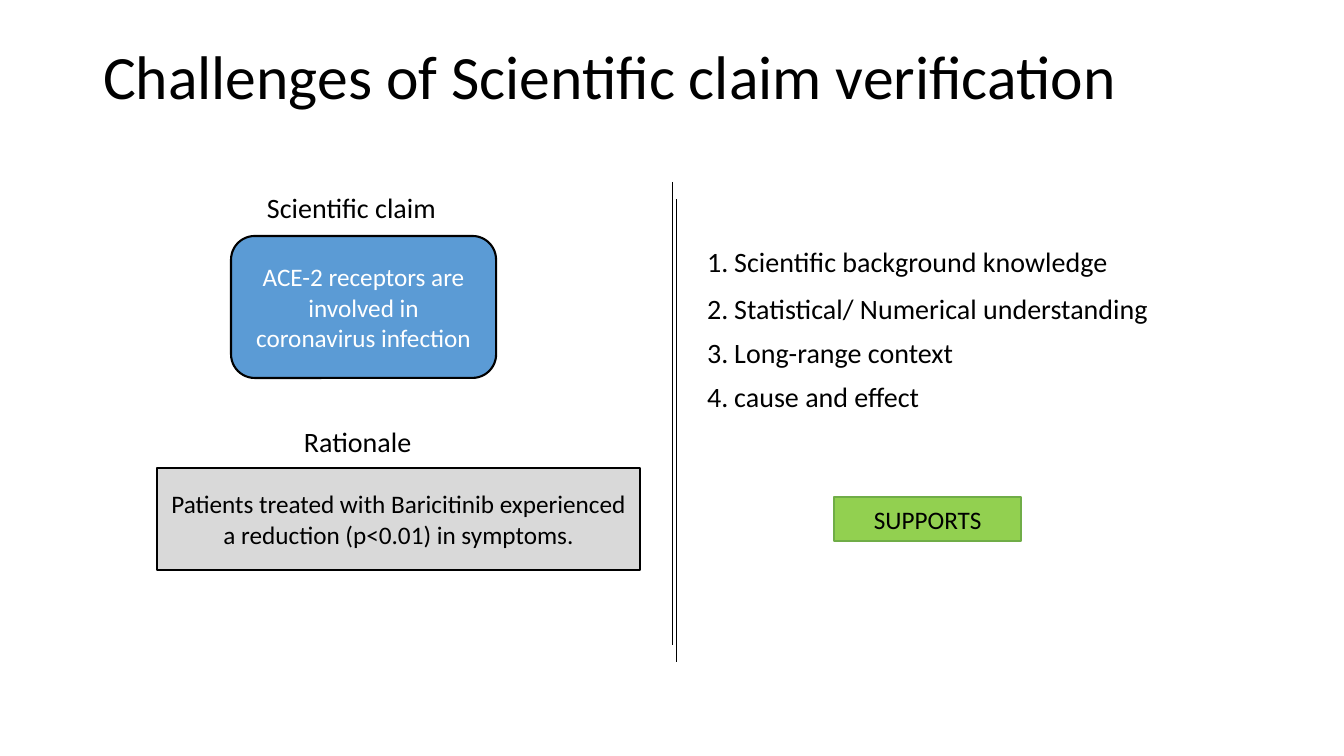
from lxml import etree
from pptx import Presentation
from pptx import util as u
from pptx.dml.color import RGBColor
from pptx.enum import shapes, text
from pptx.oxml import ns

SCALE = 914400 / 100.8


def px(n):
    return u.Emu(round(n * SCALE))


def color(code):
    return RGBColor.from_string(code)


class Page:
    font = "Calibri"
    ink = "000000"

    def __init__(self, slide):
        self.slide = slide

    def place(self, item, box):
        item.left, item.top, item.width, item.height = map(px, box)

    def style(self, frame, size, ink=ink, align=text.PP_ALIGN.LEFT, line=1.0):
        frame.word_wrap = True
        frame.auto_size = text.MSO_AUTO_SIZE.NONE
        for para in frame.paragraphs:
            para.alignment = align
            para.line_spacing = line
            for run in para.runs:
                run.font.name = self.font
                run.font.size = u.Pt(size)
                run.font.color.rgb = color(ink)

    def title(self, words, box):
        item = self.slide.shapes.title
        self.place(item, box)
        item.text_frame.text = words
        item.text_frame.vertical_anchor = text.MSO_ANCHOR.MIDDLE
        self.style(item.text_frame, 44, line=0.9)

    def list(self, rows, box, indent):
        item = self.slide.placeholders[1]
        self.place(item, box)
        frame = item.text_frame
        frame.text = "\n".join(rows)
        self.style(frame, 20, line=0.9)
        for para in frame.paragraphs:
            para.space_before = u.Pt(10)
            props = para._p.get_or_add_pPr()
            props.set("marL", str(px(indent)))
            props.set("indent", str(-px(indent)))
            mark = etree.SubElement(props, ns.qn("a:buFont"))
            mark.set("typeface", "+mj-lt")
            mark = etree.SubElement(props, ns.qn("a:buAutoNum"))
            mark.set("type", "arabicPeriod")
        frame.paragraphs[0].space_after = u.Pt(2)

    def label(self, words, box):
        item = self.slide.shapes.add_textbox(*map(px, box))
        item.text_frame.text = words
        self.style(item.text_frame, 20, line=0.9)

    def block(self, kind, words, box, fill, edge=ink, width=1.5, ink=ink):
        item = self.slide.shapes.add_shape(kind, *map(px, box))
        item.shadow.inherit = False
        item.fill.solid()
        item.fill.fore_color.rgb = color(fill)
        item.line.color.rgb = color(edge)
        item.line.width = u.Pt(width)
        item.text_frame.text = words
        item.text_frame.vertical_anchor = text.MSO_ANCHOR.MIDDLE
        self.style(item.text_frame, 18, ink, text.PP_ALIGN.CENTER)

    def rule(self, x, top, tall):
        ends = map(px, (x, top, x, top + tall))
        item = self.slide.shapes.add_connector(shapes.MSO_CONNECTOR.STRAIGHT, *ends)
        item.line.color.rgb = color(self.ink)
        item.line.width = u.Pt(0.5)
        etree.SubElement(item._element.spPr, ns.qn("a:effectLst"))


deck = Presentation()
deck.slide_width, deck.slide_height = u.Inches(13.33), u.Inches(7.5)
page = Page(deck.slides.add_slide(deck.slide_layouts[1]))
rect = shapes.MSO_SHAPE.RECTANGLE
rounded = shapes.MSO_SHAPE.ROUNDED_RECTANGLE

page.title("Challenges of Scientific claim verification", (93, 40, 1159, 79))
page.list(
    ["Scientific background knowledge", "Statistical/ Numerical understanding",
     "Long-range context", "cause and effect"],
    (697, 243, 555, 190), 27)

page.label("Scientific claim", (257, 189, 220, 40))
page.block(rounded, "ACE-2 receptors are involved in coronavirus infection",
           (231, 236, 265, 142), "5B9BD5", ink="FFFFFF")
page.label("Rationale", (294, 423, 220, 40))
page.block(rect, "Patients treated with Baricitinib experienced a reduction (p<0.01) in symptoms.",
           (157, 468, 483, 102), "D9D9D9")

for x, top in ((672, 182), (676, 199)):
    page.rule(x, top, 463)
page.block(rect, "SUPPORTS", (834, 497, 187, 44), "92D050", "70AD47", 1)

deck.save("out.pptx")
